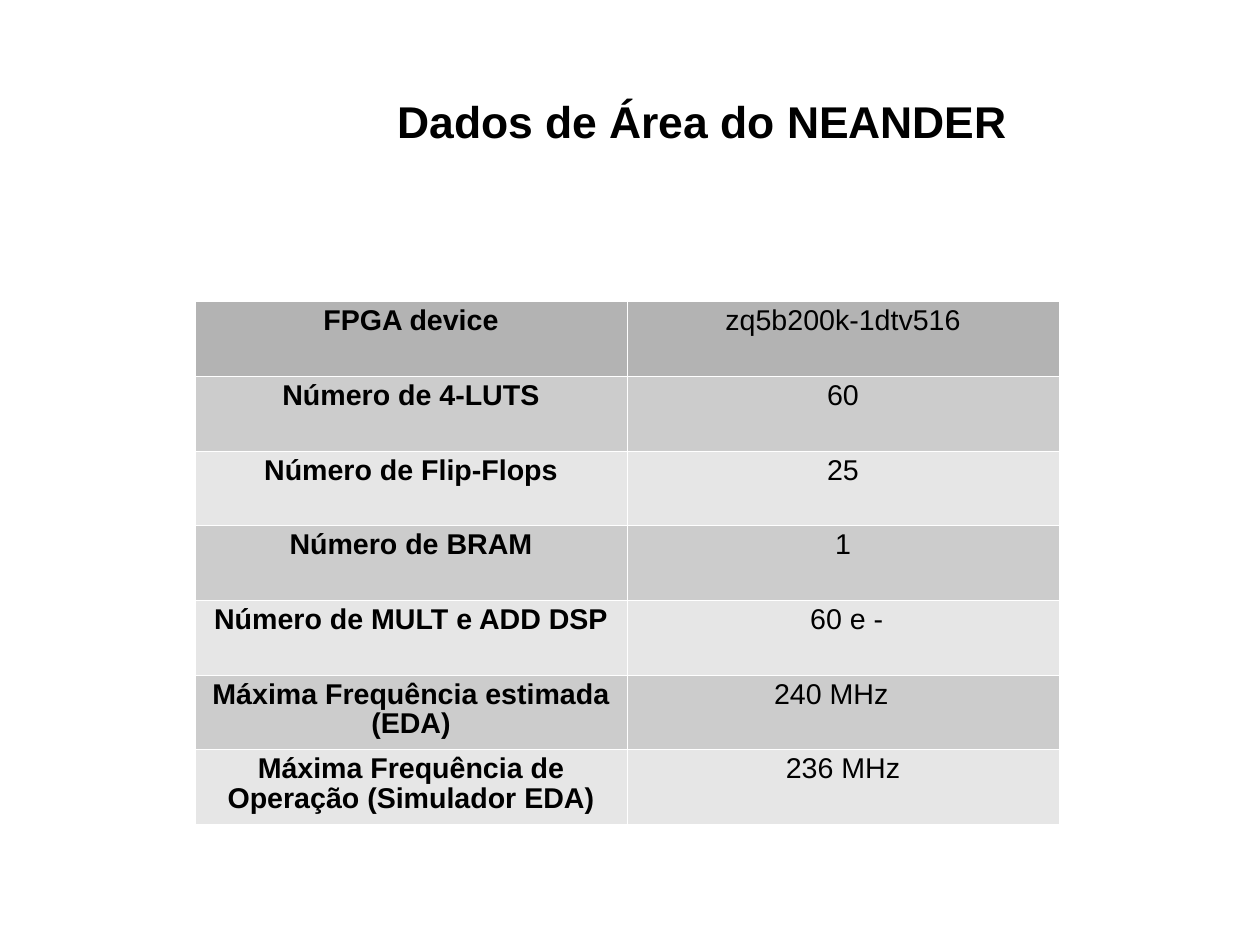
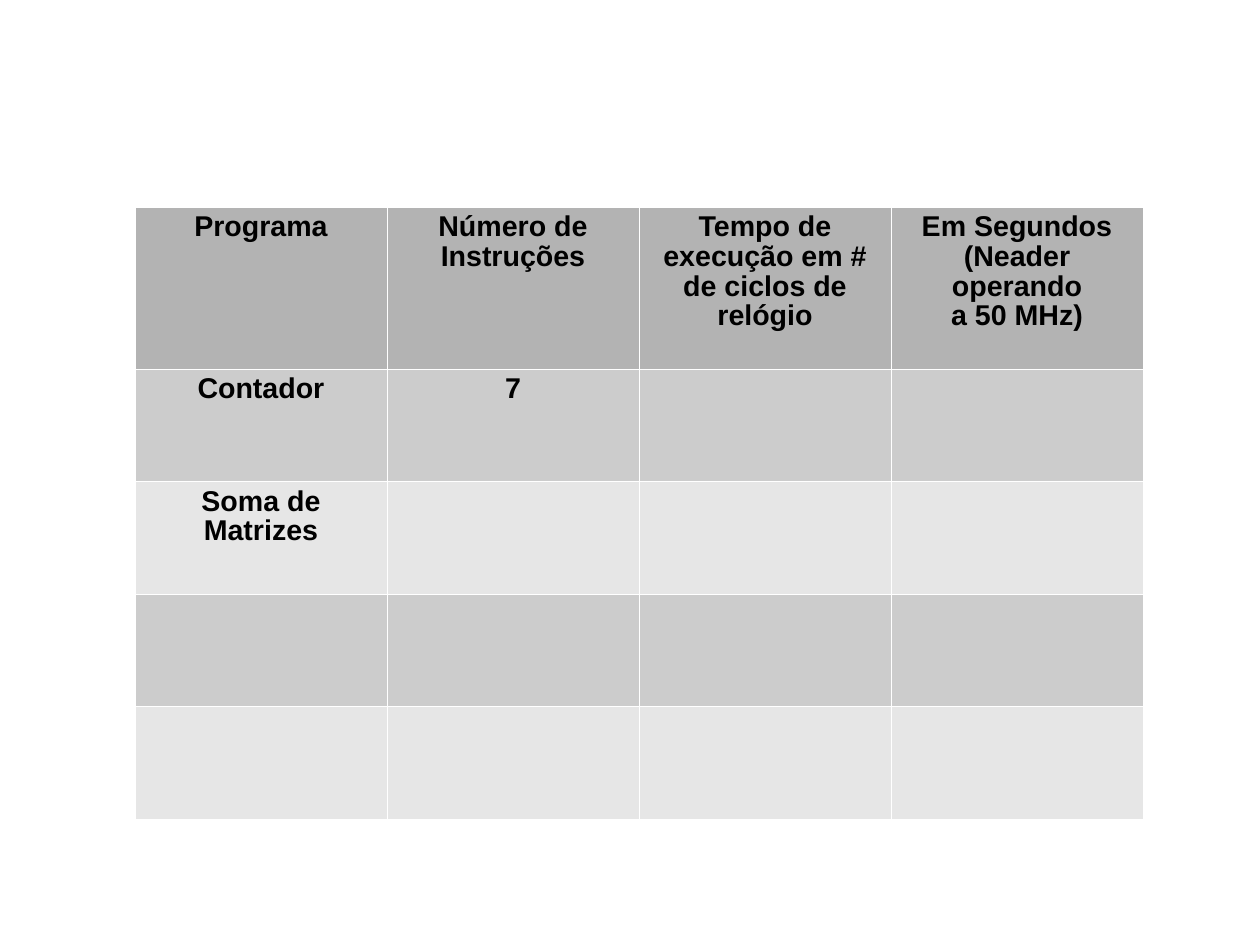
import pptx
import pptx.dml.color
import pptx.enum.text
import pptx.oxml
import pptx.oxml.ns
import pptx.util

PX = 8000
FONT = "Arial"
BLACK = pptx.dml.color.RGBColor(0x00, 0x00, 0x00)
WHITE = pptx.dml.color.RGBColor(0xFF, 0xFF, 0xFF)
HEAD = pptx.dml.color.RGBColor(0xB3, 0xB3, 0xB3)
BANDS = (
    pptx.dml.color.RGBColor(0xE6, 0xE6, 0xE6),
    pptx.dml.color.RGBColor(0xCC, 0xCC, 0xCC),
)


def px(n):
    return pptx.util.Emu(n * PX)


def write(tf, text, *, size=18, bold=True, color=BLACK):
    tf.word_wrap = True
    for i, line in enumerate(text.split("\n")):
        p = tf.add_paragraph() if i else tf.paragraphs[0]
        p.alignment = pptx.enum.text.PP_ALIGN.CENTER
        p.line_spacing = 0.93
        p.space_before = pptx.util.Pt(0)
        r = p.add_run()
        r.text = line
        r.font.name = FONT
        r.font.size = pptx.util.Pt(size)
        r.font.bold = bold
        r.font.color.rgb = color


def set_borders(cell):
    tc_pr = cell._tc.get_or_add_tcPr()
    for i, side in enumerate(("lnL", "lnR", "lnT", "lnB")):
        ln = pptx.oxml.parse_xml(
            f'<a:{side} {pptx.oxml.ns.nsdecls("a")} w="720"><a:solidFill>'
            f'<a:srgbClr val="{WHITE}"/></a:solidFill></a:{side}>'
        )
        tc_pr.insert(i, ln)


class Deck:
    TITLE_ONLY = 5
    BLANK = 6

    def __init__(self):
        self.prs = pptx.Presentation()
        self.prs.slide_width = px(1260)
        self.prs.slide_height = px(945)
        self.s = None

    def slide(self, layout):
        self.s = self.prs.slides.add_slide(self.prs.slide_layouts[layout])
        fill = self.s.background.fill
        fill.solid()
        fill.fore_color.rgb = WHITE

    def title(self, text, left, top, width, height):
        sp = self.s.shapes.title
        sp.left, sp.top, sp.width, sp.height = map(px, (left, top, width, height))
        tf = sp.text_frame
        tf.auto_size = pptx.enum.text.MSO_AUTO_SIZE.NONE
        tf.vertical_anchor = pptx.enum.text.MSO_ANCHOR.TOP
        tf.margin_top = px(9)
        write(tf, text, size=28)

    def table(self, rows, left, top, width, head, body, bold_columns):
        cols = len(rows[0])
        table = self.s.shapes.add_table(
            len(rows), cols, px(left), px(top), px(width), px(head + body)
        ).table
        table.first_row = False
        table.horz_banding = False
        for column in table.columns:
            column.width = px(width // cols)
        for i, texts in enumerate(rows):
            table.rows[i].height = px(body) // (len(rows) - 1) if i else px(head)
            for j, text in enumerate(texts):
                cell = table.cell(i, j)
                cell.fill.solid()
                cell.fill.fore_color.rgb = BANDS[i % 2] if i else HEAD
                set_borders(cell)
                if text:
                    write(cell.text_frame, text, bold=j < bold_columns)
        return table


def main():
    deck = Deck()

    deck.slide(Deck.TITLE_ONLY)
    deck.title("Dados de Área do NEANDER", 306, 90, 792, 62)
    area = deck.table(
        [
            ("FPGA device", "zq5b200k-1dtv516"),
            ("Número de 4-LUTS", "60"),
            ("Número de Flip-Flops", "25"),
            ("Número de BRAM", "1"),
            ("Número de MULT e ADD DSP", "60 e -"),
            ("Máxima Frequência estimada (EDA)", "240 MHz"),
            ("Máxima Frequência de Operação (Simulador EDA)", "236 MHz"),
        ],
        195, 301, 864, head=75, body=448, bold_columns=1,
    )
    area.cell(4, 1).margin_left = px(19)
    area.cell(5, 1).margin_right = px(35)

    deck.slide(Deck.BLANK)
    deck.table(
        [
            (
                "Programa",
                "Número de Instruções",
                "Tempo de execução em #\nde ciclos de relógio",
                "Em Segundos\n(Neader operando\na 50 MHz)",
            ),
            ("Contador", "7", "", ""),
            ("Soma de Matrizes", "", "", ""),
            ("", "", "", ""),
            ("", "", "", ""),
        ],
        135, 207, 1008, head=162, body=450, bold_columns=4,
    )

    deck.prs.save("out.pptx")


if __name__ == "__main__":
    main()
